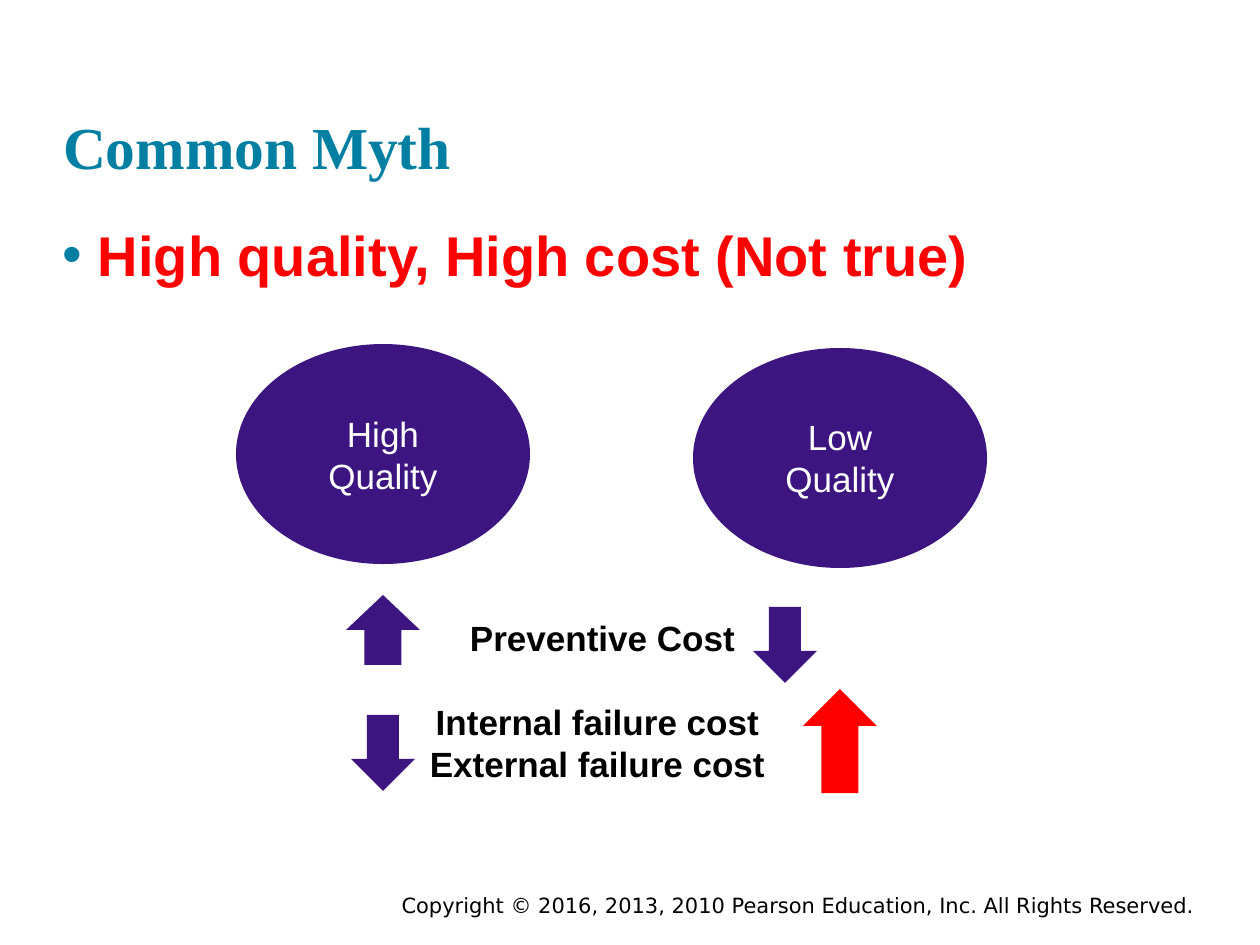
from lxml import etree
from pptx import Presentation
from pptx import util as u
from pptx.dml.color import RGBColor
from pptx.enum import shapes, text
from pptx.oxml.ns import qn

EMU_PER_PX = 914400 / 126
COLOURS = {"teal": "007FA3", "red": "FF0000", "purple": "3C1581",
           "white": "FFFFFF", "black": "000000"}
LEFT, CENTER, RIGHT = text.PP_ALIGN.LEFT, text.PP_ALIGN.CENTER, text.PP_ALIGN.RIGHT
SHAPE = shapes.MSO_SHAPE


def px(length):
    return u.Emu(round(length * EMU_PER_PX))


def colour(name):
    return RGBColor.from_string(COLOURS[name])


class SlideBuilder:
    """Holds the text styles and the slide being built."""

    styles = {
        "title": dict(name="Times New Roman", size=u.Pt(34), bold=True, color="teal"),
        "point": dict(name="Arial", size=u.Pt(32), bold=True, color="red"),
        "label": dict(name="Arial", size=u.Pt(20), bold=False, color="white"),
        "cost": dict(name="Arial", size=u.Pt(20), bold=True, color="black"),
        "footer": dict(name="DejaVu Sans", size=u.Pt(12), bold=False, color="black"),
    }

    def __init__(self, deck):
        self.slide = deck.slides.add_slide(deck.slide_layouts[5])

    def add_words(self, para, words, style, align):
        para.alignment = align
        span = para.add_run()
        span.text = words
        for key, value in self.styles[style].items():
            if key == "color":
                span.font.color.rgb = colour(value)
            else:
                setattr(span.font, key, value)

    def frame(self, box, anchor, margin=None):
        frame = box.text_frame
        frame.word_wrap = True
        frame.auto_size = text.MSO_AUTO_SIZE.NONE
        frame.vertical_anchor = anchor
        if margin is not None:
            for side in ("left", "top", "right", "bottom"):
                setattr(frame, f"margin_{side}", margin)
        return frame

    def title(self, words, left, top, width, height):
        box = self.slide.shapes.title
        place = dict(left=left, top=top, width=width, height=height)
        for key, value in place.items():
            setattr(box, key, px(value))
        frame = self.frame(box, text.MSO_ANCHOR.BOTTOM, 0)
        self.add_words(frame.paragraphs[0], words, "title", LEFT)

    def text(self, lines, style, align, place, margin=None):
        box = self.slide.shapes.add_textbox(*map(px, place))
        frame = self.frame(box, text.MSO_ANCHOR.TOP, margin)
        for index, words in enumerate(lines):
            para = frame.add_paragraph() if index else frame.paragraphs[0]
            self.add_words(para, words, style, align)
        return frame.paragraphs

    def bullet(self, words, place, indent):
        para = self.text([words], "point", LEFT, place, margin=0)[0]
        props = para._p.get_or_add_pPr()
        props.set("marL", str(px(indent)))
        props.set("indent", str(-px(indent)))
        tint = etree.SubElement(props, qn("a:buClr"))
        etree.SubElement(tint, qn("a:srgbClr"), val=COLOURS["teal"])
        etree.SubElement(props, qn("a:buFont"), typeface="Arial")
        etree.SubElement(props, qn("a:buChar"), char="•")

    def shape(self, kind, fill, place, words=None):
        shape = self.slide.shapes.add_shape(kind, *map(px, place))
        shape.shadow.inherit = False
        shape.fill.solid()
        shape.fill.fore_color.rgb = colour(fill)
        shape.line.fill.background()
        if words:
            frame = self.frame(shape, text.MSO_ANCHOR.MIDDLE)
            self.add_words(frame.paragraphs[0], words, "label", CENTER)


def main():
    deck = Presentation()
    deck.slide_width, deck.slide_height = px(1260), px(945)
    page = SlideBuilder(deck)

    page.text(["Copyright © 2016, 2013, 2010 Pearson Education, Inc. All Rights Reserved."],
              "footer", RIGHT, (220, 886, 987, 38))
    page.title("Common Myth", 63, 30, 1134, 151)
    page.bullet("High quality, High cost (Not true)", (63, 220, 1134, 95), indent=35)

    for words, left, top in (("High Quality", 236, 344), ("Low Quality", 693, 348)):
        page.shape(SHAPE.OVAL, "purple", (left, top, 294, 220), words)

    costs = page.text(["Preventive Cost", "Internal failure cost", "External failure cost"],
                      "cost", CENTER, (398, 610, 399, 183))
    for para in costs:
        para.line_spacing = u.Pt(24)
    costs[0]._p.get_or_add_pPr().set("marL", str(px(10)))
    costs[1].space_before = u.Pt(24)

    page.shape(SHAPE.UP_ARROW, "purple", (346, 595, 74, 70))
    page.shape(SHAPE.UP_ARROW, "red", (803, 689, 74, 104))
    for left, top in ((351, 715), (753, 607)):
        page.shape(SHAPE.DOWN_ARROW, "purple", (left, top, 64, 76))

    deck.save("out.pptx")


if __name__ == "__main__":
    main()
